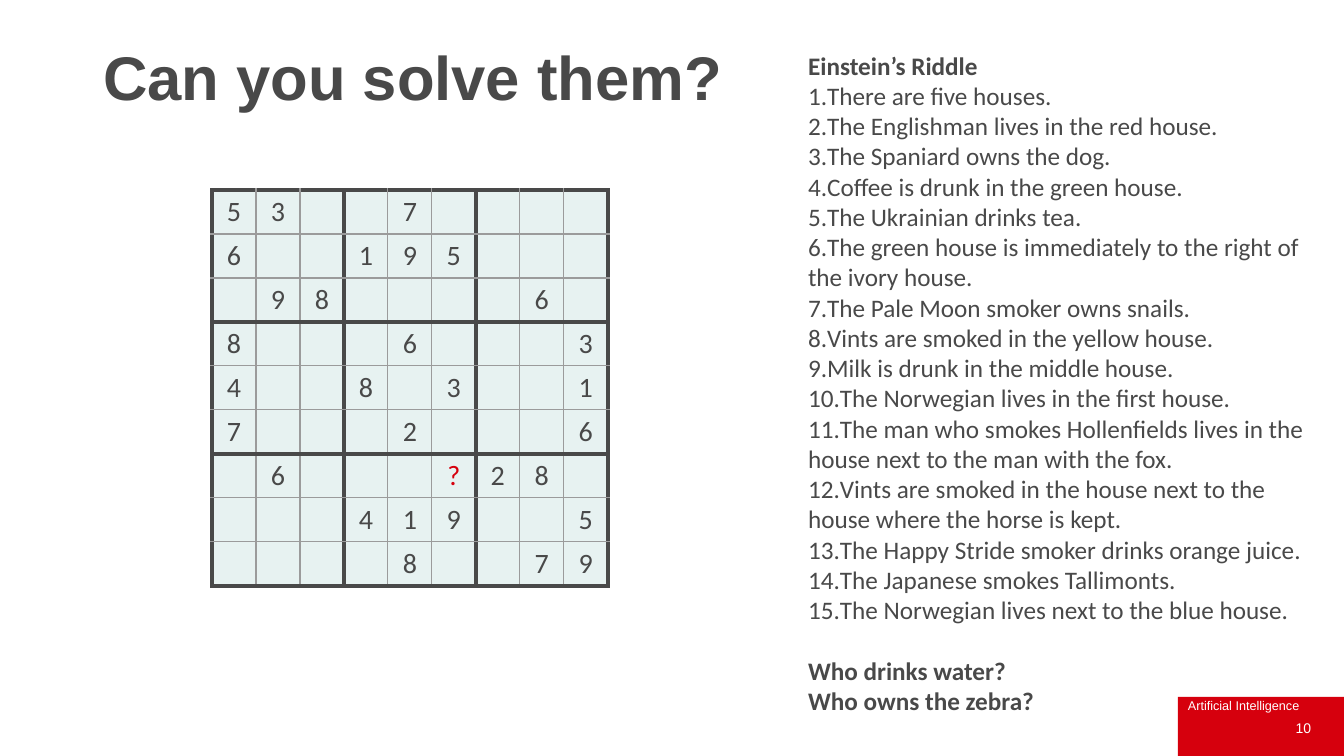
from dataclasses import dataclass

import lxml.etree
import pptx
import pptx.dml.color
import pptx.enum.shapes
import pptx.enum.text
import pptx.oxml.ns
import pptx.presentation
import pptx.shapes.autoshape
import pptx.slide
import pptx.table
import pptx.text.text
import pptx.util

PX_PER_INCH = 100.8
GRAY = pptx.dml.color.RGBColor(0x49, 0x49, 0x49)
LIGHT_GRAY = pptx.dml.color.RGBColor(0x9B, 0x9B, 0x9B)
RED = pptx.dml.color.RGBColor(0xD6, 0x00, 0x0D)
MINT = pptx.dml.color.RGBColor(0xE7, 0xF2, 0xF1)
WHITE = pptx.dml.color.RGBColor(0xFF, 0xFF, 0xFF)

ALIGN = pptx.enum.text.PP_ALIGN
ANCHOR = pptx.enum.text.MSO_ANCHOR

CELL = 44
BLOCK = 3
SUDOKU = (
    "53  7    ",
    "6  195   ",
    " 98    6 ",
    "8   6   3",
    "4  8 3  1",
    "7   2   6",
    " 6   ?28 ",
    "   419  5",
    "    8  79",
)

HEADING = "Einstein’s Riddle"
CLUES = (
    "There are five houses.",
    "The Englishman lives in the red house.",
    "The Spaniard owns the dog.",
    "Coffee is drunk in the green house.",
    "The Ukrainian drinks tea.",
    "The green house is immediately to the right of the ivory house.",
    "The Pale Moon smoker owns snails.",
    "Vints are smoked in the yellow house.",
    "Milk is drunk in the middle house.",
    "The Norwegian lives in the first house.",
    "The man who smokes Hollenfields lives in the house next to the man with the fox.",
    "Vints are smoked in the house next to the house where the horse is kept.",
    "The Happy Stride smoker drinks orange juice.",
    "The Japanese smokes Tallimonts.",
    "The Norwegian lives next to the blue house.",
)
QUESTIONS = ("Who drinks water?", "Who owns the zebra?")


@dataclass(frozen=True)
class Area:
    left: int
    top: int
    width: int
    height: int

    def emu(self) -> tuple[pptx.util.Emu, ...]:
        return tuple(px(n) for n in (self.left, self.top, self.width, self.height))


@dataclass(frozen=True)
class Style:
    size: int
    font: str
    color: pptx.dml.color.RGBColor
    bold: bool = False


@dataclass(frozen=True)
class Label:
    text: str
    area: Area
    style: Style
    align: ALIGN
    anchor: ANCHOR


@dataclass(frozen=True)
class Line:
    text: str
    bold: bool = False
    numbered: bool = False
    space_before: int = 0


TITLE_STYLE = Style(44, "Arial", GRAY, True)
DIGIT_STYLE = Style(20, "Calibri", GRAY)
UNKNOWN_STYLE = Style(20, "Calibri", RED)
FOOTER_AREA = Area(1178, 697, 166, 59)
LABELS = (
    Label("Artificial Intelligence", Area(1178, 693, 154, 25),
          Style(9, "Arial", WHITE), ALIGN.LEFT, ANCHOR.TOP),
    Label("10", Area(1019, 708, 302, 40),
          Style(10, "Arial", WHITE), ALIGN.RIGHT, ANCHOR.MIDDLE),
)
RIDDLE = (
    Line(HEADING, bold=True),
    *(Line(clue, numbered=True) for clue in CLUES),
    Line(QUESTIONS[0], bold=True, space_before=22),
    Line(QUESTIONS[1], bold=True),
)


def px(length: int) -> pptx.util.Emu:
    return pptx.util.Emu(round(length * pptx.util.Inches(1) / PX_PER_INCH))


def place(shape: pptx.shapes.autoshape.Shape, area: Area) -> None:
    shape.left, shape.top, shape.width, shape.height = area.emu()


def add_run(para: pptx.text.text._Paragraph, text: str, style: Style) -> None:
    span = para.add_run()
    span.text = text
    span.font.size = pptx.util.Pt(style.size)
    span.font.name = style.font
    span.font.bold = style.bold
    span.font.color.rgb = style.color


def add_footer(page: pptx.slide.Slide) -> None:
    box = page.shapes.add_shape(
        pptx.enum.shapes.MSO_SHAPE.RECTANGLE, *FOOTER_AREA.emu())
    box.shadow.inherit = False
    box.fill.solid()
    box.fill.fore_color.rgb = RED
    box.line.fill.background()
    for label in LABELS:
        add_label(page, label)


def add_label(page: pptx.slide.Slide, label: Label) -> None:
    frame = page.shapes.add_textbox(*label.area.emu()).text_frame
    frame.word_wrap = True
    frame.vertical_anchor = label.anchor
    para = frame.paragraphs[0]
    para.alignment = label.align
    add_run(para, label.text, label.style)


def fill_title(title: pptx.shapes.autoshape.Shape) -> None:
    place(title, Area(93, 42, 713, 70))
    title.text_frame.vertical_anchor = ANCHOR.TOP
    para = title.text_frame.paragraphs[0]
    para.alignment = ALIGN.LEFT
    para.line_spacing = 0.9
    add_run(para, "Can you solve them?", TITLE_STYLE)


def add_border(cell: pptx.table._Cell, side: str, heavy: bool) -> None:
    qn = pptx.oxml.ns.qn
    line = lxml.etree.SubElement(
        cell._tc.get_or_add_tcPr(), qn(f"a:ln{side}"),
        w=str(pptx.util.Pt(3 if heavy else 1)))
    fill = lxml.etree.SubElement(line, qn("a:solidFill"))
    lxml.etree.SubElement(
        fill, qn("a:srgbClr"), val=str(GRAY if heavy else LIGHT_GRAY))


def add_sudoku(page: pptx.slide.Slide) -> None:
    count = len(SUDOKU)
    area = Area(212, 190, CELL * count, CELL * count)
    table = page.shapes.add_table(count, count, *area.emu()).table
    table.first_row = table.horz_banding = False
    for row, digits in enumerate(SUDOKU):
        for column, digit in enumerate(digits):
            cell = table.cell(row, column)
            add_border(cell, "L", column % BLOCK == 0)
            add_border(cell, "R", column % BLOCK == BLOCK - 1)
            add_border(cell, "T", row % BLOCK == 0)
            add_border(cell, "B", row % BLOCK == BLOCK - 1)
            cell.fill.solid()
            cell.fill.fore_color.rgb = MINT
            if digit != " ":
                para = cell.text_frame.paragraphs[0]
                para.alignment = ALIGN.CENTER
                add_run(para, digit, UNKNOWN_STYLE if digit == "?" else DIGIT_STYLE)


def set_bullet(para: pptx.text.text._Paragraph, numbered: bool) -> None:
    qn = pptx.oxml.ns.qn
    properties = para._p.get_or_add_pPr()
    properties.set("marL", "0")
    properties.set("indent", "0")
    if numbered:
        lxml.etree.SubElement(properties, qn("a:buAutoNum"), type="arabicPeriod")
    else:
        lxml.etree.SubElement(properties, qn("a:buNone"))


def fill_riddle(body: pptx.shapes.autoshape.Shape) -> None:
    place(body, Area(798, 45, 543, 682))
    frame = body.text_frame
    frame.auto_size = pptx.enum.text.MSO_AUTO_SIZE.SHAPE_TO_FIT_TEXT
    for index, line in enumerate(RIDDLE):
        para = frame.add_paragraph() if index else frame.paragraphs[0]
        set_bullet(para, line.numbered)
        para.space_before = pptx.util.Pt(line.space_before)
        add_run(para, line.text, Style(18, "Calibri", GRAY, line.bold))


def main() -> None:
    deck = pptx.Presentation()
    deck.slide_width, deck.slide_height = px(1344), px(756)
    page = deck.slides.add_slide(deck.slide_layouts.get_by_name("Title and Content"))
    add_footer(page)
    fill_title(page.shapes.title)
    add_sudoku(page)
    fill_riddle(page.placeholders[1])
    deck.save("out.pptx")


if __name__ == "__main__":
    main()
